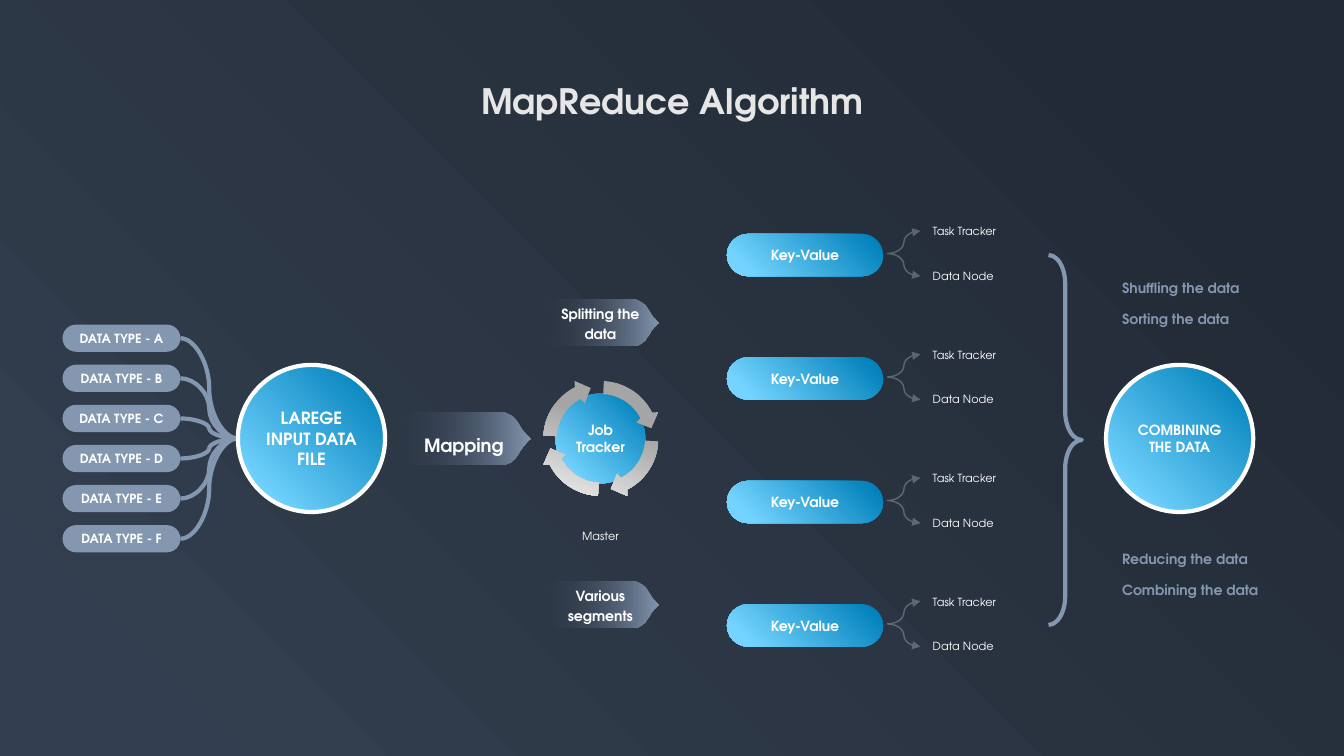
from dataclasses import dataclass
from math import cos, radians, sin

from lxml.etree import SubElement
from pptx import Presentation
from pptx.dml.color import RGBColor
from pptx.dml.fill import FillFormat
from pptx.enum.shapes import MSO_CONNECTOR as Link, MSO_SHAPE as Kind
from pptx.enum.text import MSO_ANCHOR as Anchor, MSO_AUTO_SIZE as Fit, PP_ALIGN as Align
from pptx.oxml.ns import qn
from pptx.shapes.autoshape import Shape
from pptx.util import Inches, Pt

FACE = "TeX Gyre Adventor"
WHITE = RGBColor(0xFF, 0xFF, 0xFF)
PALE = RGBColor(0xE7, 0xE6, 0xE6)
GREY = RGBColor(0xA5, 0xA5, 0xA5)
STEEL = RGBColor(0x84, 0x97, 0xB0)
SLATE = RGBColor(0x33, 0x3F, 0x50)
NIGHT = RGBColor(0x22, 0x2A, 0x35)
SKY = RGBColor(0x74, 0xD4, 0xFF)
OCEAN = RGBColor(0x00, 0x80, 0xBA)

Point = tuple[float, float]
Stop = tuple[RGBColor, float]
MID = 4.35


@dataclass(frozen=True)
class Disc:
    text: str
    left: float
    size: float
    points: int
    ring: bool = True


@dataclass(frozen=True)
class Tag:
    text: str
    left: float
    mid: float
    scale: float
    points: int
    drop: float = 0
    pitch: int | None = None


@dataclass(frozen=True)
class Label:
    text: str
    left: float
    top: float
    width: float
    height: float
    points: int
    color: RGBColor = WHITE
    bold: bool = False
    align: Align = Align.LEFT
    pitch: float = 1.0


DISCS = [
    Disc("LAREGE INPUT DATA FILE", 2.36, 1.46, 12),
    Disc("Job Tracker", 5.51, 0.89, 10, False),
    Disc("COMBINING THE DATA", 10.97, 1.46, 10),
]
TAGS = [
    Tag("Mapping", 3.94, MID, 1, 13, 0.13),
    Tag("Splitting the data", 5.38, 3.2, 0.87, 10, pitch=14),
    Tag("Various segments", 5.38, 6, 0.87, 10, pitch=14),
]
STEPS = [
    ("Shuffling the data", 2.77),
    ("Sorting the data", 3.08),
    ("Reducing the data", 5.46),
    ("Combining the data", 5.77),
]

deck = Presentation()
deck.slide_width, deck.slide_height = Inches(13.33), Inches(7.5)
slide = deck.slides.add_slide(deck.slide_layouts[6])
shapes = slide.shapes


def shade(fill: FillFormat, first: Stop, last: Stop, angle: float) -> None:
    fill.gradient()
    fill.gradient_angle = -angle % 360
    for stop, (color, place) in zip(fill.gradient_stops, (first, last)):
        stop.color.rgb, stop.position = color, place


def glow(shape: Shape) -> None:
    shade(shape.fill, (SKY, 0.13), (OCEAN, 0.94), 0)
    grad = shape._element.spPr.find(qn("a:gradFill"))
    grad.remove(grad.find(qn("a:lin")))
    way = SubElement(grad, qn("a:path"), path="circle")
    SubElement(way, qn("a:fillToRect"), t="100000", r="100000")


def write(shape: Shape, text: str, points: int, color: RGBColor = WHITE, bold: bool = True,
          align: Align = Align.CENTER, pitch: float | Pt | None = None,
          side: float = 0, top: float = 0) -> None:
    frame = shape.text_frame
    frame.word_wrap = True
    frame.vertical_anchor = Anchor.MIDDLE
    frame.margin_left = frame.margin_right = Inches(side)
    frame.margin_top, frame.margin_bottom = Inches(top), 0
    para = frame.paragraphs[0]
    para.text, para.alignment, para.line_spacing = text, align, pitch
    font = para.font
    font.name, font.size, font.bold, font.color.rgb = FACE, Pt(points), bold, color


def form(kind: Kind, left: float, top: float, width: float, height: float) -> Shape:
    shape = shapes.add_shape(kind, Inches(left), Inches(top), Inches(width), Inches(height))
    shape.shadow.inherit = False
    shape.line.fill.background()
    return shape


def pill(text: str, left: float, top: float, width: float, height: float, points: int) -> Shape:
    shape = form(Kind.ROUNDED_RECTANGLE, left, top, width, height)
    shape.adjustments[0] = 0.5
    write(shape, text, points)
    return shape


def stroke(shape: Shape, color: RGBColor, points: float) -> None:
    shape.line.color.rgb, shape.line.width = color, Pt(points)


def brace(kind: Kind, left: float, top: float, height: float, bend: float,
          color: RGBColor, points: float) -> Shape:
    shape = form(kind, left, top, 0.33, height)
    shape.fill.background()
    shape.adjustments[0], shape.adjustments[1] = bend, 0.5
    stroke(shape, color, points)
    return shape


def put(label: Label) -> Shape:
    box = shapes.add_textbox(*map(Inches, (label.left, label.top, label.width, label.height)))
    write(box, label.text, label.points, label.color, label.bold, label.align, label.pitch)
    return box


def place(disc: Disc) -> None:
    shape = form(Kind.OVAL, disc.left, MID - disc.size / 2, disc.size, disc.size)
    glow(shape)
    if disc.ring:
        stroke(shape, WHITE, 3)
    write(shape, disc.text, disc.points, top=0)


def trace(loops: list[list[Point]]) -> Shape:
    paths = [[(Inches(x), Inches(y)) for x, y in loop] for loop in loops]
    pen = shapes.build_freeform(*paths[0][0])
    for turn, path in enumerate(paths):
        if turn:
            pen.move_to(*path[0])
        pen.add_line_segments(path[1:], close=True)
    shape = pen.convert_to_shape()
    shape.shadow.inherit = False
    shape.line.fill.background()
    return shape


def curve(a: Point, b: Point, c: Point, d: Point, count: int = 8) -> list[Point]:
    ticks = [n / count for n in range(count + 1)]
    return [tuple((1 - t) ** 3 * p + 3 * t * (1 - t) ** 2 * q + 3 * t * t * (1 - t) * r + t ** 3 * s
                  for p, q, r, s in zip(a, b, c, d)) for t in ticks]


def point(tag: Tag) -> None:
    upper = (curve((0, 0), (0, -0.15), (0.1, -0.26), (0.23, -0.26))
             + curve((1.06, -0.26), (1.12, -0.24), (1.17, -0.2), (1.2, -0.14))
             + curve((1.2, -0.14), (1.23, -0.09), (1.27, -0.04), (1.32, 0)))
    whole = upper + [(x, -y) for x, y in reversed(upper)]
    shape = trace([[(tag.left + x * tag.scale, tag.mid + y * tag.scale) for x, y in whole]])
    shade(shape.fill, (SLATE, 0), (STEEL, 1), 0)
    tint = shape._element.spPr.find(".//" + qn("a:srgbClr"))
    SubElement(tint, qn("a:alpha"), val="0")
    write(shape, tag.text, tag.points, pitch=Pt(tag.pitch) if tag.pitch else None,
          side=0.05, top=tag.drop)


def arc(radius: float, start: int, end: int, count: int = 16) -> list[Point]:
    turns = [radians(start + (end - start) * n / count) for n in range(count + 1)]
    return [(radius * cos(t), radius * sin(t)) for t in turns]


def cycle() -> None:
    head = [(0.57, -0.26), (0.5, -0.1), (0.35, -0.16)]
    loop = arc(0.57, -87, -27) + head + arc(0.44, -27, -87)
    loops = []
    for _ in range(4):
        loops.append([(5.96 + x, MID + y) for x, y in loop])
        loop = [(-y, x) for x, y in loop]
    shade(trace(loops).fill, (GREY, 0.37), (PALE, 0.94), 110)


def join(top: float) -> None:
    link = shapes.add_connector(Link.CURVE, Inches(1.79), Inches(top), Inches(2.36), Inches(MID))
    link.line.color.rgb, link.line.width = STEEL, Pt(3)
    SubElement(link._element.spPr, qn("a:effectLst"))


def branch(top: float) -> None:
    glow(pill("Key-Value", 7.21, top, 1.55, 0.42, 10))
    fork = brace(Kind.LEFT_BRACE, 8.8, top - 0.03, 0.45, 0.49, WHITE, 1)
    line = fork.line._ln
    SubElement(line.find(".//" + qn("a:srgbClr")), qn("a:alpha"), val="25000")
    for end in ("a:headEnd", "a:tailEnd"):
        SubElement(line, qn(end), type="triangle")
    put(Label("Task Tracker", 9.25, top - 0.09, 1.01, 0.13, 8))
    put(Label("Data Node", 9.25, top + 0.35, 1.01, 0.13, 8))


shade(slide.background.fill, (NIGHT, 0.13), (SLATE, 0.94), 135)
put(Label("MapReduce Algorithm", 3.46, 0.72, 6.42, 0.6, 25, PALE, True, Align.CENTER, 0.9))
for row in range(4):
    branch(2.32 + 1.225 * row)
for text, top in STEPS:
    put(Label(text, 11.13, top, 1.8, 0.17, 10, STEEL, True))
master = put(Label("Master", 5.26, 5.19, 1.39, 0.18, 8, align=Align.CENTER, pitch=1.5))
master.text_frame.auto_size = Fit.SHAPE_TO_FIT_TEXT
for row, letter in enumerate("ABCDEF"):
    top = 3.22 + 0.398 * row
    kind = pill(f"DATA TYPE - {letter}", 0.62, top, 1.17, 0.27, 9)
    kind.fill.solid()
    kind.fill.fore_color.rgb = STEEL
    join(top + 0.135)
for disc in DISCS:
    place(disc)
cycle()
for tag in TAGS:
    point(tag)
brace(Kind.RIGHT_BRACE, 10.4, 2.53, 3.67, 0.86, STEEL, 3)
deck.save("out.pptx")
